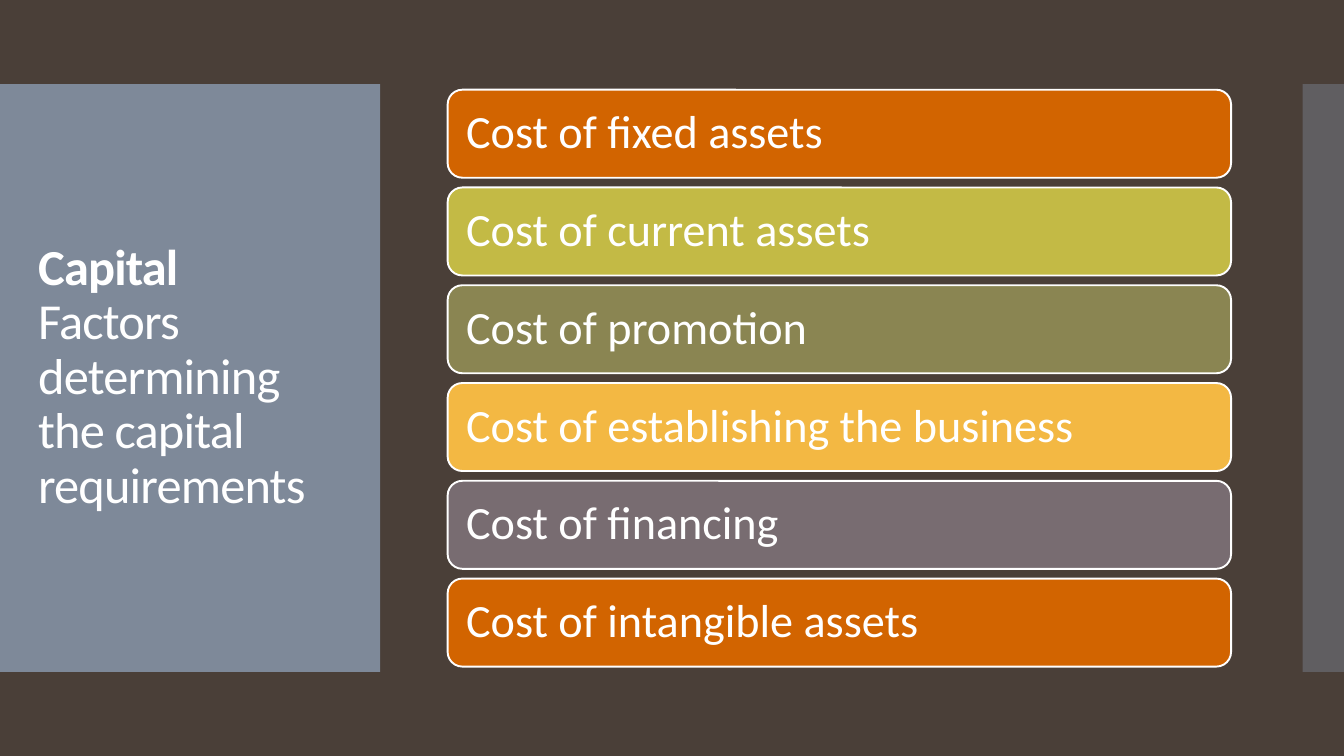
from lxml import etree
from pptx import Presentation
from pptx.dml.color import RGBColor
from pptx.enum.shapes import MSO_SHAPE
from pptx.enum.text import MSO_ANCHOR, PP_ALIGN
from pptx.oxml.ns import qn
from pptx.util import Inches, Pt

RECT = MSO_SHAPE.RECTANGLE
ROUND = MSO_SHAPE.ROUNDED_RECTANGLE
MIDDLE = MSO_ANCHOR.MIDDLE
LEFT = PP_ALIGN.LEFT

BROWN = RGBColor(0x4A, 0x3F, 0x38)
SLATE = RGBColor(0x81, 0x8E, 0x9F)
WHITE = RGBColor(0xFF, 0xFF, 0xFF)
ORANGE = RGBColor(0xD2, 0x64, 0x00)
LIME = RGBColor(0xC3, 0xBA, 0x45)
OLIVE = RGBColor(0x8A, 0x85, 0x52)
AMBER = RGBColor(0xF3, 0xB8, 0x43)
MAUVE = RGBColor(0x78, 0x6C, 0x71)

FONT = "Calibri"
WIDTH, HEIGHT = 13.33, 7.5
COSTS = [
    ("Cost of fixed assets", ORANGE),
    ("Cost of current assets", LIME),
    ("Cost of promotion", OLIVE),
    ("Cost of establishing the business", AMBER),
    ("Cost of financing", MAUVE),
    ("Cost of intangible assets", ORANGE),
]


def add_box(slide, kind, box, color):
    shape = slide.shapes.add_shape(kind, *map(Inches, box))
    shape.shadow.inherit = False
    shape.fill.solid()
    shape.fill.fore_color.rgb = color
    shape.line.fill.background()
    return shape


def add_panel(slide, box, alpha):
    panel = add_box(slide, RECT, box, SLATE)
    color = panel.fill._xPr.find(qn("a:solidFill"))[0]
    etree.SubElement(color, qn("a:alpha"), val=str(alpha * 1000))


def style_text(para, size):
    para.alignment = LEFT
    para.line_spacing = 0.9
    para.font.name = FONT
    para.font.size = Pt(size)
    para.font.color.rgb = WHITE


def add_title(slide, box, head, body):
    frame = slide.shapes.add_textbox(*map(Inches, box)).text_frame
    frame.word_wrap = True
    frame.vertical_anchor = MIDDLE
    para = frame.paragraphs[0]
    style_text(para, 36)
    for text, bold in ((head, True), (body, False)):
        if not bold:
            para.add_line_break()
        run = para.add_run()
        run.text = text
        run.font.bold = bold
        run.font._element.set("spc", "-60")


def add_list(slide, box, costs):
    left, top, width, height = box
    pitch = height / len(costs)
    for row, (text, color) in enumerate(costs):
        spot = (left, top + row * pitch, width, pitch * 0.9)
        bar = add_box(slide, ROUND, spot, color)
        bar.line.color.rgb = WHITE
        bar.line.width = Pt(1.35)
        frame = bar.text_frame
        frame.word_wrap = True
        frame.vertical_anchor = MIDDLE
        frame.margin_left = frame.margin_right = Inches(0.14)
        frame.margin_top = frame.margin_bottom = 0
        frame.text = text
        style_text(frame.paragraphs[0], 33)


def main():
    deck = Presentation()
    deck.slide_width = Inches(WIDTH)
    deck.slide_height = Inches(HEIGHT)
    slide = deck.slides.add_slide(deck.slide_layouts[6])
    slide.background.fill.solid()
    slide.background.fill.fore_color.rgb = BROWN

    top, tall = HEIGHT / 9, HEIGHT * 7 / 9
    edge = 0.41
    add_panel(slide, (0, top, 3.77, tall), 95)
    add_panel(slide, (WIDTH - edge, top, edge, tall), 40)
    add_title(slide, (0.28, top + 0.4, 3.22, tall - 0.8),
              "Capital", "Factors determining the capital requirements")
    add_list(slide, (4.44, 0.89, 7.77, 5.82), COSTS)
    deck.save("out.pptx")


if __name__ == "__main__":
    main()
